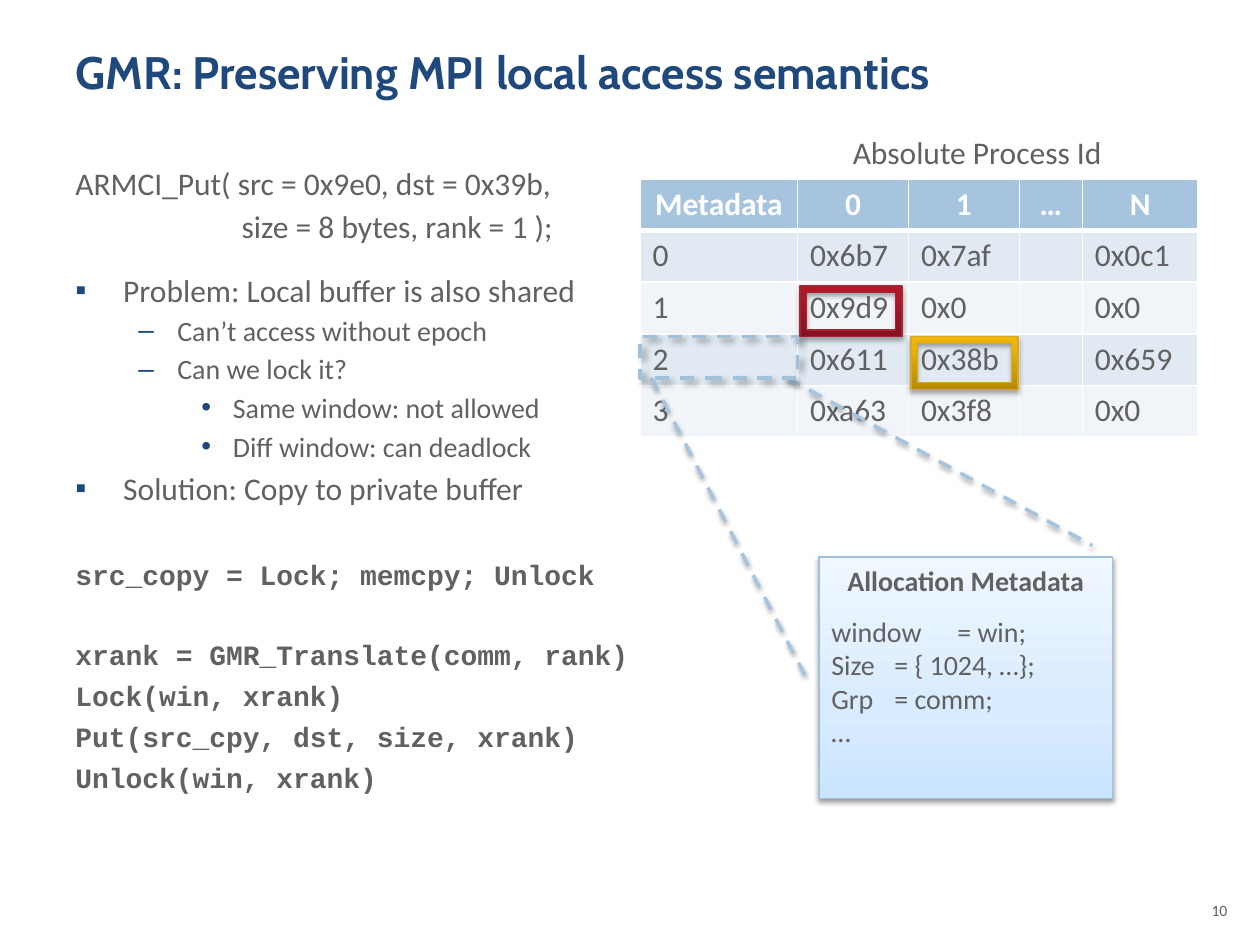
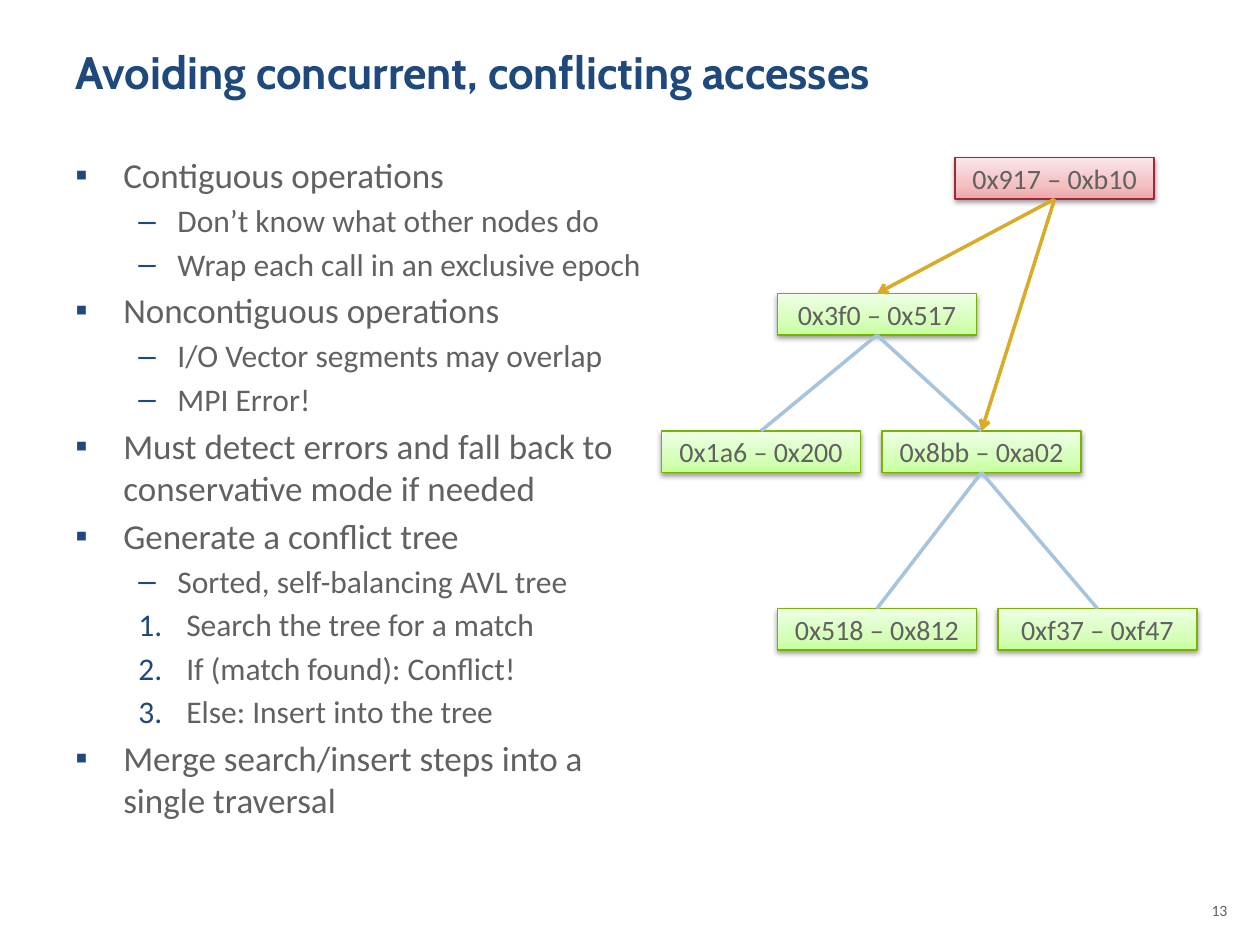
from dataclasses import dataclass

from lxml import etree
from pptx import Presentation
from pptx.dml.color import RGBColor
from pptx.enum import dml, shapes, text
from pptx.oxml import ns
from pptx.util import Inches, Pt


@dataclass(frozen=True)
class Theme:
    # Fonts and type sizes
    title_font: str = "Cabin"
    body_font: str = "Calibri"
    code_font: str = "Courier New"
    title_size: int = 26
    large: int = 20
    medium: int = 18
    small: int = 16
    footer_size: int = 9
    # Colours
    navy: str = "1F497D"
    ink: str = "616161"
    white: str = "FFFFFF"
    blue: str = "A6C4DE"
    blue_edge: str = "A1C0DA"
    gold: str = "D8AC28"
    gold_edge: str = "D8AA23"
    red_edge: str = "A12734"
    green_edge: str = "77B400"
    bands: tuple = ("E1EAF2", "F1F5F9")
    # Gradients, bottom to top: (position, colour)
    blue_grad: tuple = ((0, "C9E4FF"), (35, "D8EBFF"), (100, "F0F7FF"))
    green_grad: tuple = ((0, "C6FF9D"), (35, "D6FFBA"), (100, "EFFFE5"))
    pink_grad: tuple = ((0, "F0A5A8"), (35, "F3C1C3"), (100, "FBE6E7"))
    gold_grad: tuple = ((0, "B58A0A"), (80, "EBB30D"), (100, "F0B609"))
    red_grad: tuple = ((0, "86131F"), (80, "AE1829"), (100, "B21627"))
    # Shadows: opacity, blur, distance, direction
    soft: tuple = (38, 3.1, 1.6, 90)
    frame_shadow: tuple = (35, 3.1, 1.8, 90)
    diagonal: tuple = (43, 4, 3, 45)


T = Theme()

# Paragraph kinds: left margin, first-line indent, bullet
KINDS = {
    "plain": (0, 0, None),
    "code": (0, 0, None),
    "continued": (1.32, 0, None),
    "square": (0.38, -0.38, "▪"),
    "dash": (0.81, -0.31, "–"),
    "dot": (1.25, -0.25, "•"),
    "number": (0.88, -0.38, "1."),
}


# ---- Shared helpers ----
def rgb(value):
    return RGBColor.from_string(value)


def sub(parent, tag, **attrs):
    return etree.SubElement(parent, ns.qn(tag), {k: str(v) for k, v in attrs.items()})


def add_run(p, content, size, color=T.ink, font=T.body_font, bold=False):
    r = p.add_run()
    r.text = content
    r.font.name, r.font.size, r.font.bold = font, Pt(size), bold
    r.font.color.rgb = rgb(color)


def add_text(s, box, content, size, align=text.PP_ALIGN.LEFT, wrap=True):
    tf = s.shapes.add_textbox(*map(Inches, box)).text_frame
    tf.word_wrap = wrap
    tf.paragraphs[0].alignment = align
    add_run(tf.paragraphs[0], content, size)


def add_shadow(effects, shadow):
    alpha, blur, dist, angle = shadow
    outer = sub(effects, "a:outerShdw", blurRad=Pt(blur), dist=Pt(dist),
                dir=angle * 60000, rotWithShape=0)
    sub(sub(outer, "a:srgbClr", val="000000"), "a:alpha", val=alpha * 1000)


def add_box(s, kind, box, edge, grad=None, width=0.75, shadow=T.soft):
    sp = s.shapes.add_shape(kind, *map(Inches, box))
    sp.line.color.rgb, sp.line.width = rgb(edge), Pt(width)
    if grad:
        sp.fill.gradient()
        sp.fill.gradient_angle = 90
        stops = sp._element.spPr.find(".//" + ns.qn("a:gsLst"))
        for stop in list(stops):
            stops.remove(stop)
        for pos, color in grad:
            sub(sub(stops, "a:gs", pos=pos * 1000), "a:srgbClr", val=color)
    else:
        sp.fill.background()
    sp.shadow.inherit = False
    add_shadow(sp._element.spPr.find(ns.qn("a:effectLst")), shadow)
    return sp


def add_line(s, start, end, color, shadow=None):
    line = s.shapes.add_connector(shapes.MSO_CONNECTOR.STRAIGHT,
                                  *map(Inches, (*start, *end)))
    line.line.color.rgb, line.line.width = rgb(color), Pt(2)
    effects = sub(line._element.spPr, "a:effectLst")
    if shadow:
        add_shadow(effects, shadow)
    return line


def add_bullet(p, bullet):
    pPr = p._p.get_or_add_pPr()
    if bullet is None:
        sub(pPr, "a:buNone")
        return
    sub(sub(pPr, "a:buClr"), "a:srgbClr", val=T.navy)
    if bullet == "1.":
        sub(pPr, "a:buFont", typeface=T.body_font)
        sub(pPr, "a:buAutoNum", type="arabicPeriod")
    else:
        sub(pPr, "a:buFont", typeface="Arial")
        sub(pPr, "a:buChar", char=bullet)


def add_body(s, box, items, sizes):
    """Items are (kind, text) or (kind, text, space before in points)."""
    tf = s.shapes.add_textbox(*map(Inches, box)).text_frame
    tf.word_wrap = True
    for i, (kind, content, *gap) in enumerate(items):
        p = tf.paragraphs[0] if i == 0 else tf.add_paragraph()
        margin, indent, bullet = KINDS[kind]
        pPr = p._p.get_or_add_pPr()
        pPr.set("marL", str(Inches(margin)))
        pPr.set("indent", str(Inches(indent)))
        add_bullet(p, bullet)
        size, code = sizes[kind], kind == "code"
        usual = 4.2 if code else 0.18 * size
        p.space_before = Pt(0 if i == 0 else gap[0] if gap else usual)
        add_run(p, content, size, font=T.code_font if code else T.body_font, bold=code)


def new_slide(prs, title, number):
    s = prs.slides.add_slide(prs.slide_layouts[5])
    sp = s.shapes.title
    sp.left, sp.top, sp.width, sp.height = map(Inches, (0.5, 0.3, 9, 1.03))
    tf = sp.text_frame
    tf.vertical_anchor = text.MSO_ANCHOR.TOP
    tf.paragraphs[0].alignment = text.PP_ALIGN.LEFT
    add_run(tf.paragraphs[0], title, T.title_size, T.navy, T.title_font, True)
    add_text(s, (9.42, 7.1, 0.42, 0.4), number, T.footer_size, text.PP_ALIGN.RIGHT)
    return s


# ---- Slide: local access semantics ----
def set_borders(cell, bottom):
    tcPr = cell._tc.get_or_add_tcPr()
    for i, side in enumerate("LRTB"):
        ln = etree.Element(ns.qn("a:ln" + side), w=str(Pt(bottom if side == "B" else 1)))
        sub(sub(ln, "a:solidFill"), "a:srgbClr", val=T.white)
        tcPr.insert(i, ln)


def metadata_table(s, x, y):
    rows = [
        ("Metadata", "0", "1", "…", "N"),
        ("0", "0x6b7", "0x7af", "", "0x0c1"),
        ("1", "0x9d9", "0x0", "", "0x0"),
        ("2", "0x611", "0x38b", "", "0x659"),
        ("3", "0xa63", "0x3f8", "", "0x0"),
    ]
    widths, row_h = (1.25, 0.88, 0.88, 0.5, 0.92), 0.41
    box = (x, y, sum(widths), row_h * len(rows))
    table = s.shapes.add_table(len(rows), len(widths), *map(Inches, box)).table
    for column, width in zip(table.columns, widths):
        column.width = Inches(width)
    for i, row in enumerate(rows):
        header = i == 0
        for j, value in enumerate(row):
            cell = table.cell(i, j)
            cell.fill.solid()
            cell.fill.fore_color.rgb = rgb(T.blue if header else T.bands[(i - 1) % 2])
            set_borders(cell, 3 if header else 1)
            p = cell.text_frame.paragraphs[0]
            if header:
                p.alignment = text.PP_ALIGN.CENTER
            if value:
                add_run(p, value, T.medium, T.white if header else T.ink, bold=header)
    add_text(s, (x + 1.59, y - 0.41, 2.2, 0.4), "Absolute Process Id", T.medium, wrap=False)


def allocation_card(s, box):
    tf = add_box(s, shapes.MSO_SHAPE.RECTANGLE, box, T.blue_edge, T.blue_grad).text_frame
    tf.word_wrap = True
    tf.vertical_anchor = text.MSO_ANCHOR.TOP
    lines = ("Allocation Metadata", "window\t= win;", "Size\t= { 1024, …};",
             "Grp\t= comm;", "…")
    for i, content in enumerate(lines):
        p = tf.paragraphs[0] if i == 0 else tf.add_paragraph()
        p.alignment = text.PP_ALIGN.LEFT if i else text.PP_ALIGN.CENTER
        p.space_before = Pt(10 if i == 1 else 0)
        add_run(p, content, T.small, bold=i == 0)


def zoom_lines(s, x, y):
    for start, end in (((0.09, 0.33), (1.34, 2.75)), ((1.17, 0.33), (3.59, 1.66))):
        line = add_line(s, (x + start[0], y + start[1]), (x + end[0], y + end[1]),
                        T.blue, T.soft)
        line.line.dash_style = dml.MSO_LINE.DASH


def semantics_slide(prs):
    s = new_slide(prs, "GMR: Preserving MPI local access semantics", "10")
    sizes = dict.fromkeys(("plain", "continued", "square"), T.medium)
    sizes.update(dict.fromkeys(("dash", "dot", "code"), T.small))
    add_body(s, (0.5, 1.25, 4.67, 5.45), [
        ("plain", "ARMCI_Put( src = 0x9e0, dst = 0x39b,"),
        ("continued", "size = 8 bytes, rank = 1 );"),
        ("square", "Problem: Local buffer is also shared", 14.6),
        ("dash", "Can’t access without epoch"),
        ("dash", "Can we lock it?"),
        ("dot", "Same window: not allowed"),
        ("dot", "Diff window: can deadlock"),
        ("square", "Solution: Copy to private buffer"),
        ("code", "src_copy = Lock; memcpy; Unlock", 29),
        ("code", "xrank = GMR_Translate(comm, rank)", 27),
        ("code", "Lock(win, xrank)"),
        ("code", "Put(src_cpy, dst, size, xrank)"),
        ("code", "Unlock(win, xrank)"),
    ], sizes)
    x, row_y = 5.08, 2.67
    metadata_table(s, x, 1.42)
    allocation_card(s, (6.5, 4.42, 2.33, 1.92))
    zoom_lines(s, x, row_y)
    # Highlights over the table cells
    frame = shapes.MSO_SHAPE.FRAME
    add_box(s, frame, (x + 2.15, row_y, 0.85, 0.42), T.gold_edge, T.gold_grad,
            shadow=T.frame_shadow)
    add_box(s, frame, (x + 1.27, row_y - 0.4, 0.81, 0.4), T.red_edge, T.red_grad,
            shadow=T.frame_shadow)
    row_box = add_box(s, shapes.MSO_SHAPE.RECTANGLE, (x, row_y, 1.25, 0.33),
                      T.blue_edge, width=2, shadow=T.diagonal)
    row_box.line.dash_style = dml.MSO_LINE.DASH


# ---- Slide: conflicting accesses ----
def conflict_tree(s, x, y):
    places = {
        "0x3f0 – 0x517": (0.92, 1.08),
        "0x1a6 – 0x200": (0, 2.17),
        "0x8bb – 0xa02": (1.75, 2.17),
        "0x518 – 0x812": (0.92, 3.58),
        "0xf37 – 0xf47": (2.67, 3.58),
        "0x917 – 0xb10": (2.33, 0),
    }
    nodes = []
    for label, (dx, dy) in places.items():
        new = dy == 0
        sp = add_box(s, shapes.MSO_SHAPE.RECTANGLE, (x + dx, y + dy, 1.58, 0.33),
                     T.red_edge if new else T.green_edge,
                     T.pink_grad if new else T.green_grad)
        tf = sp.text_frame
        tf.vertical_anchor = text.MSO_ANCHOR.MIDDLE
        tf.paragraphs[0].alignment = text.PP_ALIGN.CENTER
        add_run(tf.paragraphs[0], label, T.small)
        nodes.append(sp)
    root, left, right, low_left, low_right, inserted = nodes
    links = ((root, left), (root, right), (right, low_left), (right, low_right),
             (inserted, right), (inserted, root))
    for parent, child in links:
        search = parent is inserted
        line = add_line(s, (0, 0), (1, 1), T.gold if search else T.blue)
        line.begin_connect(parent, 2)
        line.end_connect(child, 0)
        if search:
            sub(line.line._get_or_add_ln(), "a:tailEnd", type="arrow")


def conflicts_slide(prs):
    s = new_slide(prs, "Avoiding concurrent, conflicting accesses", "13")
    add_body(s, (0.5, 1.17, 4.75, 5.53), [
        ("square", "Contiguous operations"),
        ("dash", "Don’t know what other nodes do"),
        ("dash", "Wrap each call in an exclusive epoch"),
        ("square", "Noncontiguous operations"),
        ("dash", "I/O Vector segments may overlap"),
        ("dash", "MPI Error!"),
        ("square", "Must detect errors and fall back to conservative mode if needed"),
        ("square", "Generate a conflict tree"),
        ("dash", "Sorted, self-balancing AVL tree"),
        ("number", "Search the tree for a match"),
        ("number", "If (match found): Conflict!"),
        ("number", "Else: Insert into the tree"),
        ("square", "Merge search/insert steps into a single traversal"),
    ], {"square": T.large, "dash": T.medium, "number": T.medium})
    conflict_tree(s, 5.25, 1.25)


def main():
    prs = Presentation()
    prs.slide_width, prs.slide_height = Inches(10), Inches(7.5)
    semantics_slide(prs)
    conflicts_slide(prs)
    prs.save("out.pptx")


if __name__ == "__main__":
    main()
